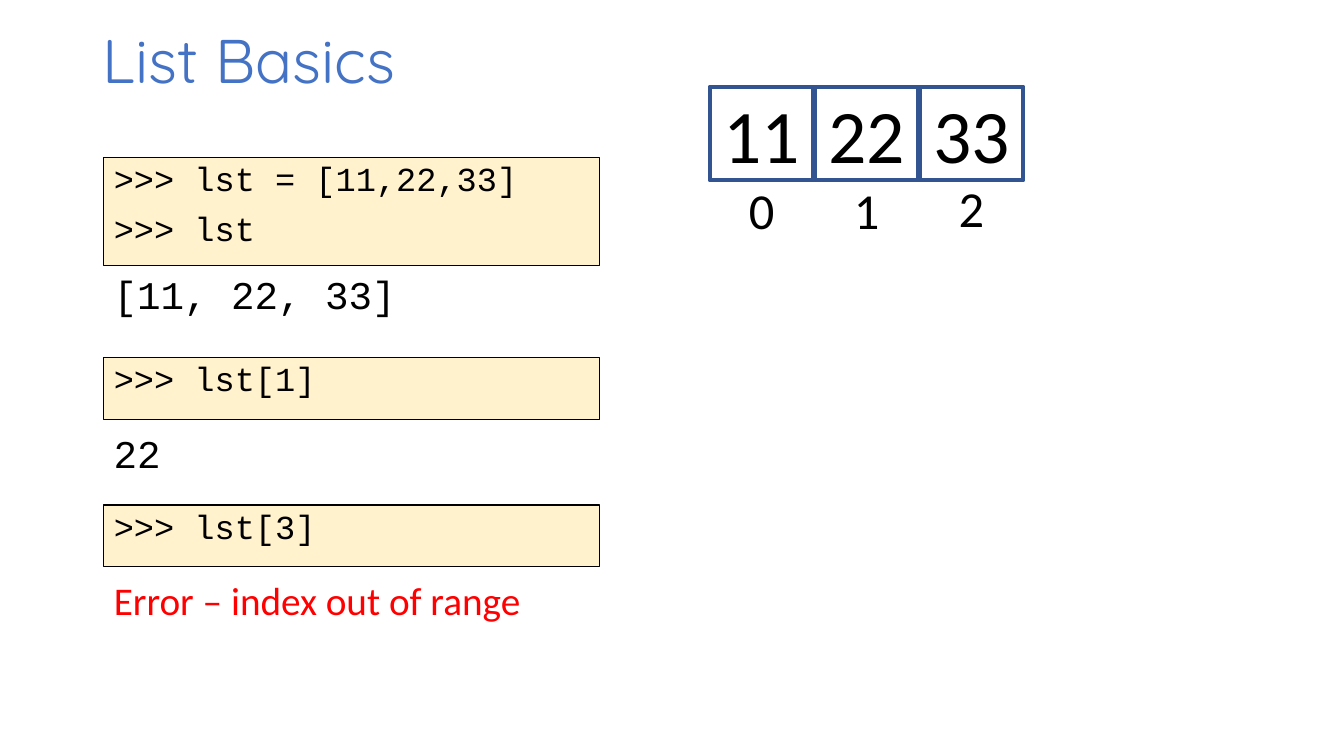
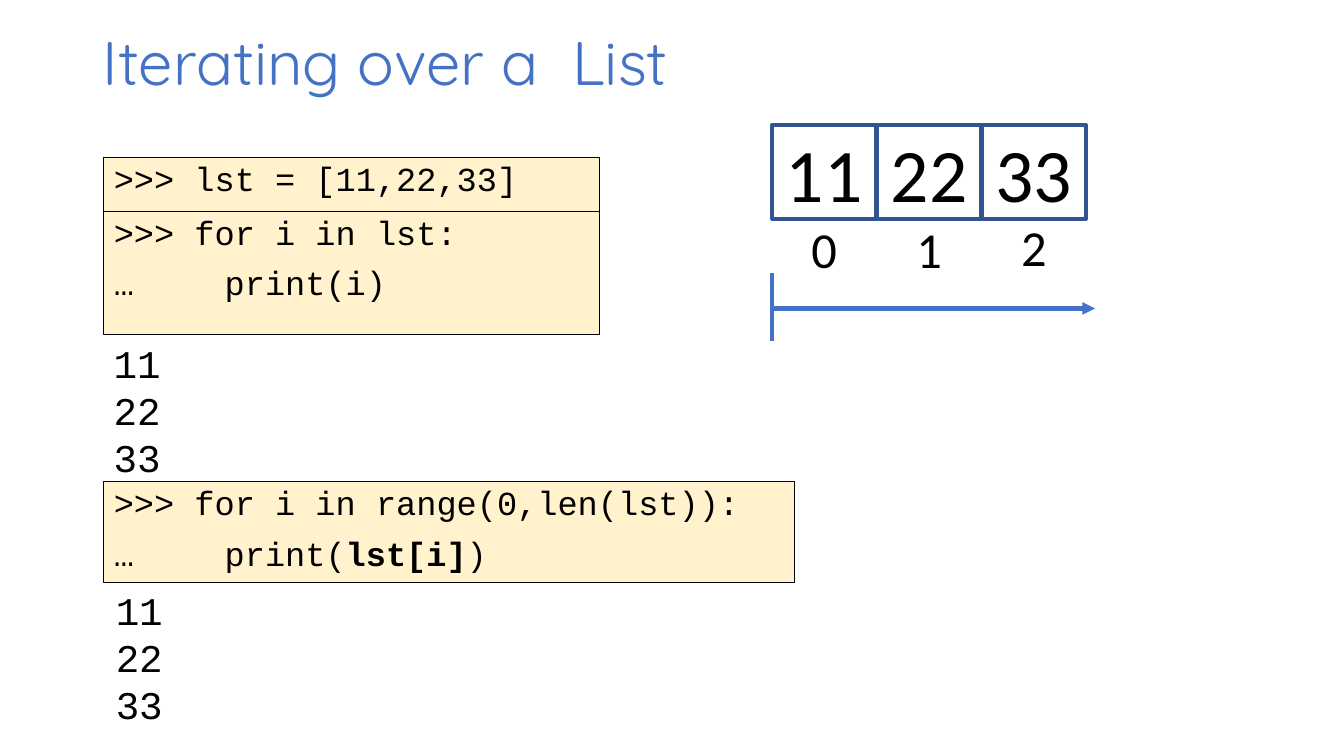
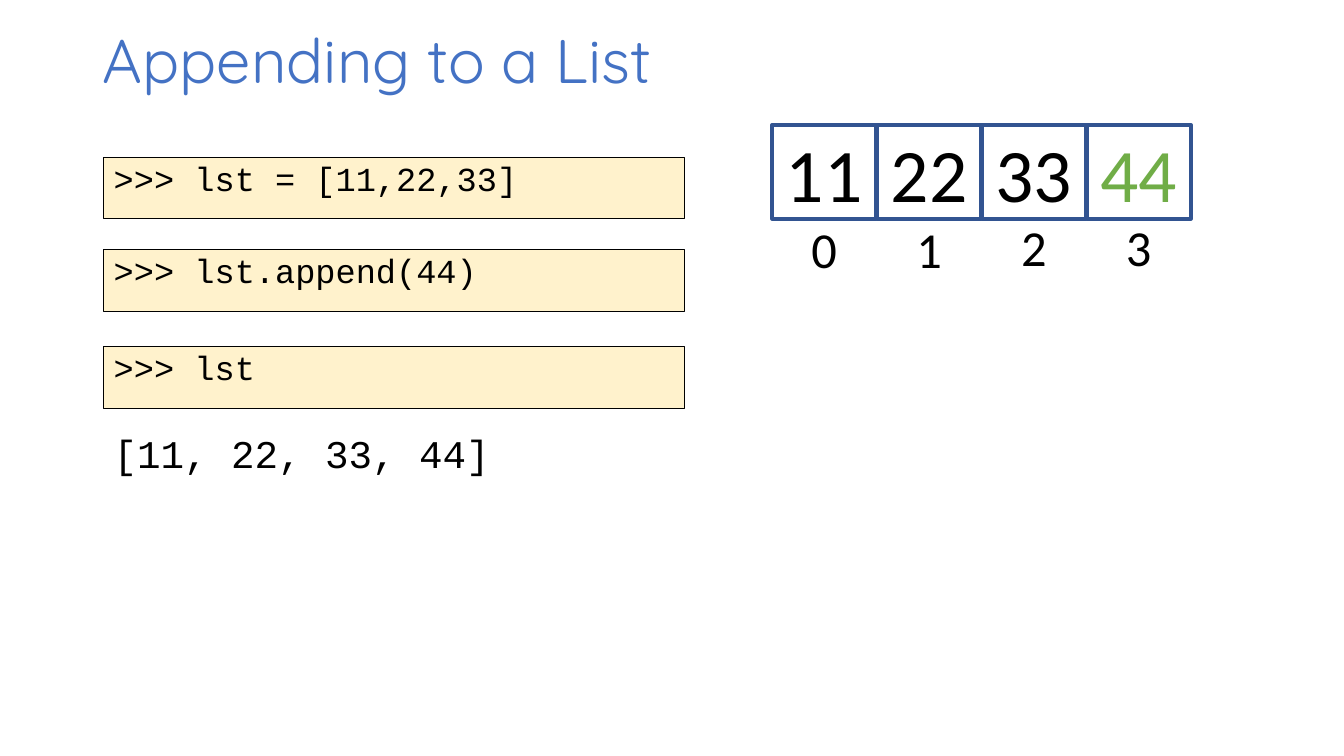
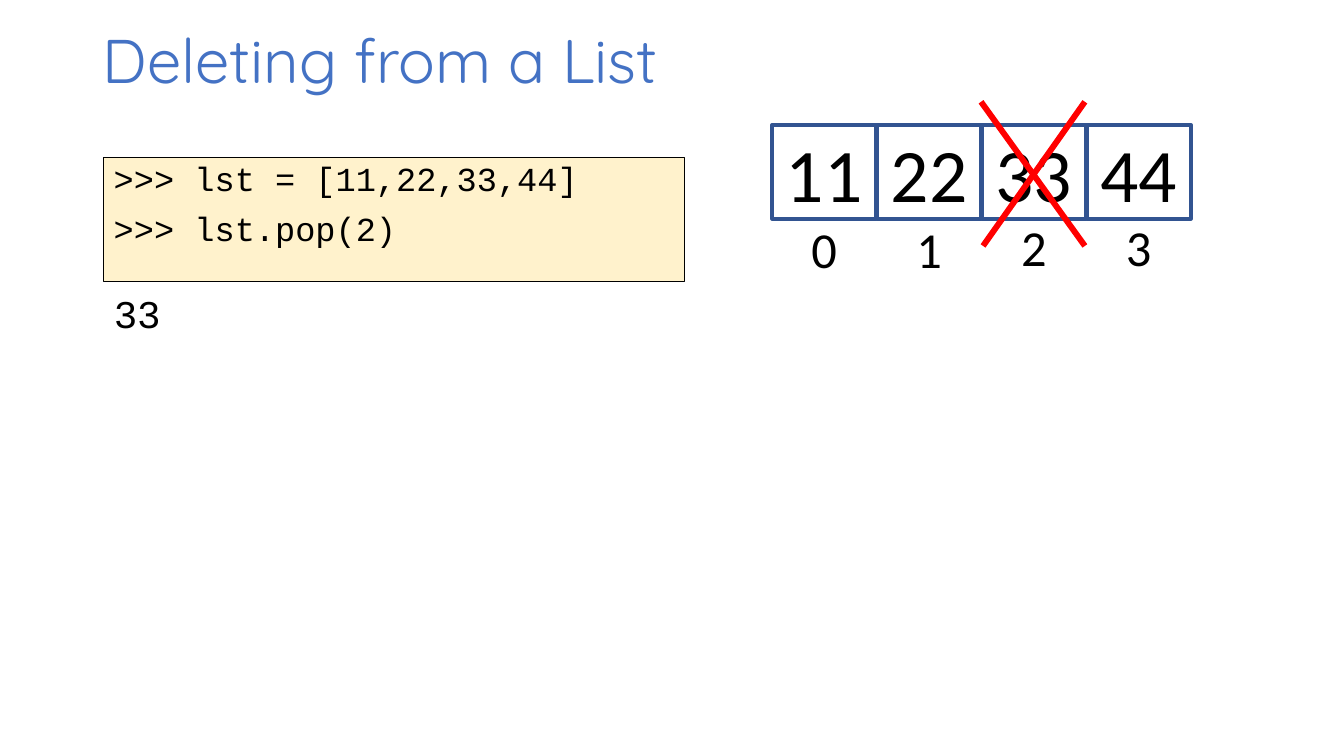
from pptx import Presentation
from pptx import util as u
from pptx.dml.color import RGBColor
from pptx.enum import shapes, text
from pptx.oxml.ns import qn
from lxml import etree

Inches, Pt = u.Inches, u.Pt

BLUE, NAVY, CREAM = "4472C4", "325491", "FFF2CC"
BLACK, RED, GREEN = "000000", "FF0000", "70AD47"
TITLE_FONT, CODE_FONT, BODY_FONT = "Quicksand", "Courier New", "Calibri"

LEFT = 1.03
CELL_W, CELL_H, CELL_PITCH = 1.03, 0.93, 1.04
INDEX_DROPS = (0.87, 0.87, 0.85, 0.85)  # index label below the top of its cell
COUNT_UP = ["11", "22", "33"]

# code: (top, width, height, lines); a line is a string or a list of (text, bold)
# output: (left, top, width, height, lines, font, colour)
# cells: (left, top, values, colour of the last value)
# lines: (from, to, colour, points, arrow)
SLIDES = [
    {
        "title": ("List Basics", 0.14),
        "code": [
            (1.56, 4.92, 1.07, [">>> lst = [11,22,33]", ">>> lst"]),
            (3.55, 4.92, 0.61, [">>> lst[1]"]),
            (5.01, 4.92, 0.61, [">>> lst[3]"]),
        ],
        "output": [
            (LEFT, 2.63, 3.24, 0.57, ["[11, 22, 33]"], CODE_FONT, BLACK),
            (LEFT, 4.21, 4.37, 0.57, ["22"], CODE_FONT, BLACK),
            (LEFT, 5.67, 6.39, 0.57, ["Error – index out of range"], BODY_FONT, RED),
        ],
        "cells": (7.04, 0.86, COUNT_UP, BLACK),
        "lines": [],
    },
    {
        "title": ("Iterating over a  List", 0.16),
        "code": [
            (1.56, 4.92, 0.54, [">>> lst = [11,22,33]"]),
            (2.10, 4.92, 1.22, [">>> for i in lst:", "…\t   print(i)"]),
            (4.78, 6.85, 1.00, [
                ">>> for i in range(0,len(lst)):",
                [("…\t   print(", False), ("lst[i]", True), (")", False)],
            ]),
        ],
        "output": [
            (LEFT, 3.32, 4.37, 1.51, COUNT_UP, CODE_FONT, BLACK),
            (1.05, 5.77, 4.37, 1.51, COUNT_UP, CODE_FONT, BLACK),
        ],
        "cells": (7.66, 1.24, COUNT_UP, BLACK),
        "lines": [
            ((7.66, 2.71), (7.66, 3.38), BLUE, 3, False),
            ((7.66, 3.06), (10.86, 3.06), BLUE, 3, True),
        ],
    },
    {
        "title": ("Appending to a List", 0.14),
        "code": [
            (1.56, 5.76, 0.61, [">>> lst = [11,22,33]"]),
            (2.48, 5.76, 0.61, [">>> lst.append(44)"]),
            (3.44, 5.76, 0.61, [">>> lst"]),
        ],
        "output": [(LEFT, 4.21, 4.37, 0.57, ["[11, 22, 33, 44]"], CODE_FONT, BLACK)],
        "cells": (7.66, 1.24, COUNT_UP + ["44"], GREEN),
        "lines": [],
    },
    {
        "title": ("Deleting from a List", 0.14),
        "code": [(1.56, 5.76, 1.23, [">>> lst = [11,22,33,44]", ">>> lst.pop(2)"])],
        "output": [(LEFT, 2.82, 3.19, 0.57, ["33"], CODE_FONT, BLACK)],
        "cells": (7.66, 1.24, COUNT_UP + ["44"], BLACK),
        "lines": [
            ((10.76, 2.44), (9.73, 1.01), RED, 4.25, False),
            ((9.75, 2.44), (10.76, 1.01), RED, 4.25, False),
        ],
    },
]


def rgb(hex_colour):
    return RGBColor.from_string(hex_colour)


def box(*lengths):
    return [Inches(v) for v in lengths]


def write(tf, lines, size, font, colour, align="LEFT", anchor="TOP", code=False):
    """Fill a text frame with one paragraph a line."""
    tf.word_wrap = True
    tf.vertical_anchor = getattr(text.MSO_ANCHOR, anchor)
    for i, line in enumerate(lines):
        p = tf.add_paragraph() if i else tf.paragraphs[0]
        p.alignment = getattr(text.PP_ALIGN, align)
        if code:
            p.line_spacing, p.space_before = 0.9, Pt(10)
        for words, bold in [(line, False)] if isinstance(line, str) else line:
            r = p.add_run()
            r.text = words
            r.font.size, r.font.name, r.font.bold = Pt(size), font, bold
            r.font.color.rgb = rgb(colour)


def add_title(s, words, top):
    sp = s.shapes.title
    sp.left, sp.top, sp.width, sp.height = box(0.92, top, 11.5, 0.88)
    sp.text_frame.auto_size = text.MSO_AUTO_SIZE.NONE
    write(sp.text_frame, [words], 44, TITLE_FONT, BLUE, anchor="MIDDLE")


def add_rect(s, place, line, points, fill=None):
    sp = s.shapes.add_shape(shapes.MSO_SHAPE.RECTANGLE, *box(*place))
    sp.shadow.inherit = False
    if fill:
        sp.fill.solid()
        sp.fill.fore_color.rgb = rgb(fill)
    else:
        sp.fill.background()
    sp.line.color.rgb, sp.line.width = rgb(line), Pt(points)
    return sp.text_frame


def add_text(s, place, lines, size, font, colour, align="LEFT"):
    tf = s.shapes.add_textbox(*box(*place)).text_frame
    tf.auto_size = text.MSO_AUTO_SIZE.SHAPE_TO_FIT_TEXT
    write(tf, lines, size, font, colour, align)


def add_cells(s, left, top, values, last_colour):
    """Draw the list as a row of cells with an index under each."""
    for i, value in enumerate(values):
        x = left + i * CELL_PITCH
        colour = last_colour if i == len(values) - 1 else BLACK
        tf = add_rect(s, (x, top, CELL_W, CELL_H), NAVY, 3)
        write(tf, [value], 54, BODY_FONT, colour, "CENTER", "MIDDLE")
        add_text(s, (x, top + INDEX_DROPS[i], CELL_W, 0.71), [str(i)],
                 36, BODY_FONT, BLACK, "CENTER")


def add_line(s, start, end, colour, points, arrow):
    ln = s.shapes.add_connector(shapes.MSO_CONNECTOR.STRAIGHT, *box(*start, *end))
    ln.line.color.rgb, ln.line.width = rgb(colour), Pt(points)
    if arrow:
        etree.SubElement(ln.line._get_or_add_ln(), qn("a:tailEnd"), type="triangle")
    etree.SubElement(ln._element.spPr, qn("a:effectLst"))


def main():
    prs = Presentation()
    prs.slide_width, prs.slide_height = box(13.33, 7.5)
    title_only = prs.slide_layouts[5]
    for content in SLIDES:
        s = prs.slides.add_slide(title_only)
        add_title(s, *content["title"])
        for top, width, height, lines in content["code"]:
            tf = add_rect(s, (LEFT, top, width, height), BLACK, 0.75, CREAM)
            write(tf, lines, 24, CODE_FONT, BLACK, code=True)
        for *place, lines, font, colour in content["output"]:
            add_text(s, place, lines, 28, font, colour)
        add_cells(s, *content["cells"])
        for line in content["lines"]:
            add_line(s, *line)
    prs.save("out.pptx")


if __name__ == "__main__":
    main()
